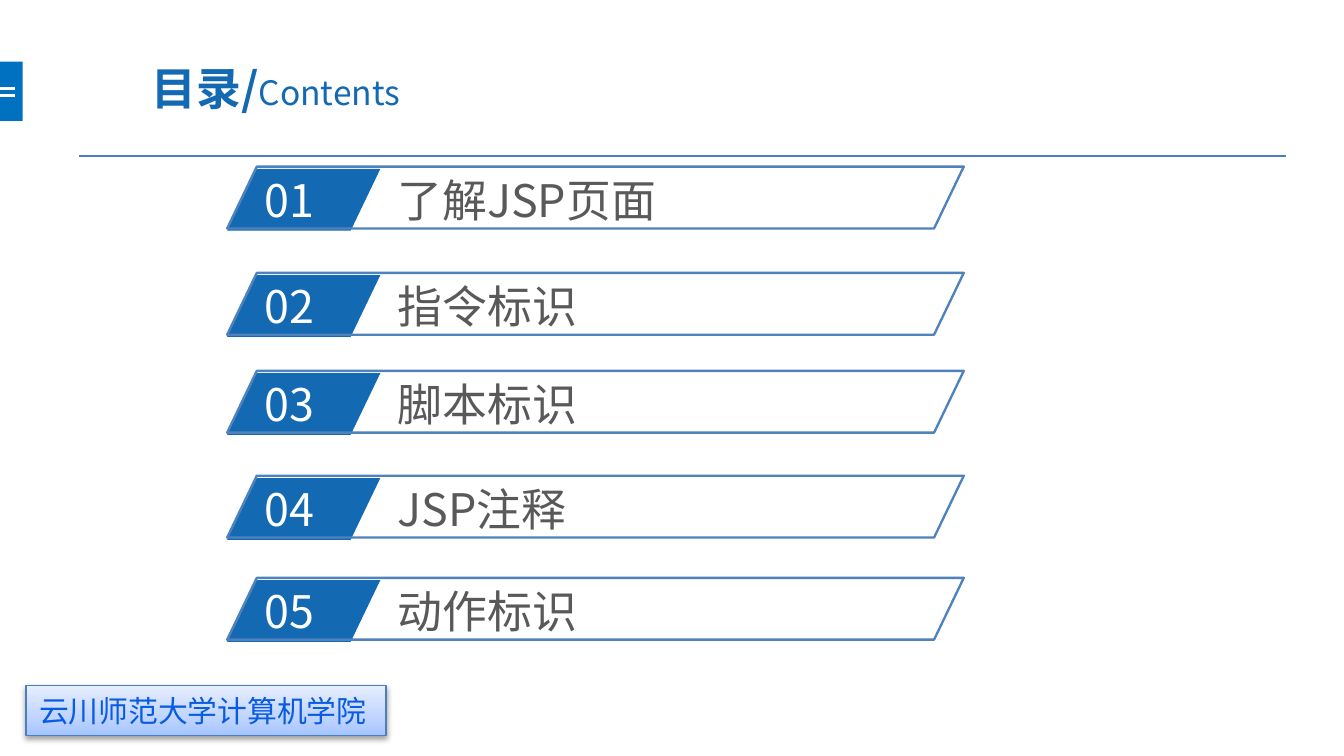
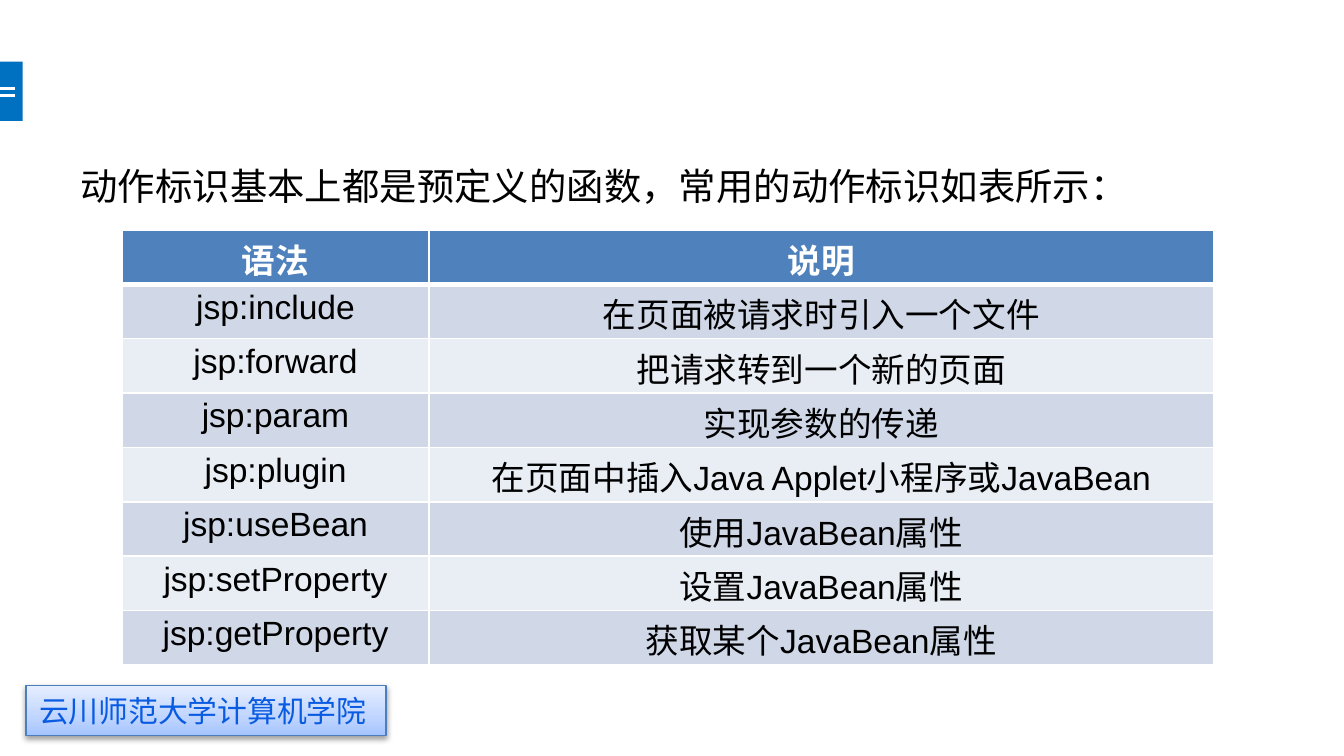
"""Build a contents slide and a table slide about JSP action tags."""
from lxml.etree import SubElement
from pptx import Presentation
from pptx.dml.color import RGBColor
from pptx.enum.shapes import MSO_CONNECTOR, MSO_SHAPE
from pptx.enum.text import MSO_ANCHOR, MSO_AUTO_SIZE, PP_ALIGN
from pptx.oxml.ns import qn
from pptx.util import Pt

WHITE = RGBColor(0xFF, 0xFF, 0xFF)
BLACK = RGBColor(0x00, 0x00, 0x00)
GREY = RGBColor(0x59, 0x59, 0x59)
TAB_BLUE = RGBColor(0x00, 0x70, 0xC0)
TITLE_BLUE = RGBColor(0x13, 0x69, 0xB2)
RULE_BLUE = RGBColor(0x4B, 0x7E, 0xBC)
BAR_BLUE = RGBColor(0x4F, 0x81, 0xBD)
FOOTER_BLUE = RGBColor(0x09, 0x5B, 0xE1)
BAND_DARK = RGBColor(0xD0, 0xD8, 0xE8)
BAND_LIGHT = RGBColor(0xE9, 0xED, 0xF4)
FOOTER_STOPS = [
    (0, RGBColor(0xA4, 0xC4, 0xFF)),
    (35, RGBColor(0xBF, 0xD4, 0xFF)),
    (100, RGBColor(0xE6, 0xEE, 0xFF)),
]
CHINESE_FONT = "Noto Sans CJK SC"
LATIN_FONT = "Arial"
FOOTER_TEXT = "云川师范大学计算机学院"

CONTENTS = [
    ("了解JSP页面", 89.3),
    ("指令标识", 146.2),
    ("脚本标识", 198.7),
    ("JSP注释", 254.9),
    ("动作标识", 309.6),
]
ACTION_ROWS = [
    ("语法", "说明"),
    ("jsp:include", "在页面被请求时引入一个文件"),
    ("jsp:forward", "把请求转到一个新的页面"),
    ("jsp:param", "实现参数的传递"),
    ("jsp:plugin", "在页面中插入Java Applet小程序或JavaBean"),
    ("jsp:useBean", "使用JavaBean属性"),
    ("jsp:setProperty", "设置JavaBean属性"),
    ("jsp:getProperty", "获取某个JavaBean属性"),
]


class Deck:
    """Hold the shared style and the current slide."""

    def __init__(self):
        self.presentation = Presentation()
        self.presentation.slide_width = Pt(720)
        self.presentation.slide_height = Pt(405)
        self.layout = self.presentation.slide_layouts[5]
        self.new_slide()
        self.decorate_layout()

    def new_slide(self):
        self.slide = self.presentation.slides.add_slide(self.layout)

    def decorate_layout(self):
        for placeholder in list(self.layout.placeholders)[1:]:
            self.layout.shapes.element.remove(placeholder.element)
        decorations = [self.shape(MSO_SHAPE.RECTANGLE, 0, 33.1, 12.2, 31.7, fill=TAB_BLUE)]
        for top in (47.5, 51.1):
            decorations.append(self.line(0, top, 7.9, WHITE, 1.5))
        decorations.append(self.footer())
        for decoration in decorations:
            self.layout.shapes.element.append(decoration.element)

    def format_run(self, run, size, color, bold=False, font=CHINESE_FONT):
        run.font.size = Pt(size)
        run.font.bold = bold
        run.font.color.rgb = color
        run.font.name = font
        SubElement(run.font._element, qn("a:ea"), typeface=CHINESE_FONT)

    def set_text(self, text_frame, text, size, color, inset=(7.2, 3.6)):
        text_frame.text = text
        text_frame.word_wrap = True
        text_frame.auto_size = MSO_AUTO_SIZE.NONE
        text_frame.vertical_anchor = MSO_ANCHOR.MIDDLE
        text_frame.margin_left = text_frame.margin_right = Pt(inset[0])
        text_frame.margin_top = text_frame.margin_bottom = Pt(inset[1])
        paragraph = text_frame.paragraphs[0]
        paragraph.alignment = PP_ALIGN.LEFT
        self.format_run(paragraph.runs[0], size, color)
        return paragraph

    def title(self, text, left, top, width, height, size, color, inset=(7.2, 3.6)):
        title = self.slide.shapes.title
        title.left, title.top = Pt(left), Pt(top)
        title.width, title.height = Pt(width), Pt(height)
        return self.set_text(title.text_frame, text, size, color, inset)

    def text(self, text, left, top, width, height, size, color, inset=(7.2, 3.6)):
        box = self.slide.shapes.add_textbox(Pt(left), Pt(top), Pt(width), Pt(height))
        self.set_text(box.text_frame, text, size, color, inset)

    def shape(self, kind, left, top, width, height, fill=None, line=None, weight=1):
        shape = self.slide.shapes.add_shape(kind, Pt(left), Pt(top), Pt(width), Pt(height))
        shape.shadow.inherit = False
        if fill is None:
            shape.fill.background()
        else:
            shape.fill.solid()
            shape.fill.fore_color.rgb = fill
        if line is None:
            shape.line.fill.background()
        else:
            shape.line.color.rgb = line
            shape.line.width = Pt(weight)
        return shape

    def line(self, left, top, right, color, weight):
        line = self.slide.shapes.add_connector(
            MSO_CONNECTOR.STRAIGHT, Pt(left), Pt(top), Pt(right), Pt(top))
        line.line.color.rgb = color
        line.line.width = Pt(weight)
        SubElement(line.element.spPr, qn("a:effectLst"))
        return line

    def footer(self):
        footer = self.shape(MSO_SHAPE.RECTANGLE, 13.9, 367.2, 193, 26.8,
                            line=RULE_BLUE, weight=0.75)
        footer.fill.gradient()
        properties = footer.element.spPr
        gradient = properties.find(qn("a:gradFill"))
        gradient.find(qn("a:lin")).set("ang", str(270 * 60000))
        stops = gradient.find(qn("a:gsLst"))
        for stop in list(stops):
            stops.remove(stop)
        for position, color in FOOTER_STOPS:
            stop = SubElement(stops, qn("a:gs"), pos=str(position * 1000))
            SubElement(stop, qn("a:srgbClr"), val=str(color))
        shadow = SubElement(properties.find(qn("a:effectLst")), qn("a:outerShdw"),
                            blurRad=str(Pt(3.1)), dist=str(Pt(1.6)),
                            dir=str(90 * 60000), rotWithShape="0")
        shade = SubElement(shadow, qn("a:srgbClr"), val=str(BLACK))
        SubElement(shade, qn("a:alpha"), val="38000")
        self.set_text(footer.text_frame, FOOTER_TEXT, 16, FOOTER_BLUE)
        return footer

    def parallelogram(self, top, width, **style):
        shape = self.shape(MSO_SHAPE.PARALLELOGRAM, 121.7, top, width, 33.1, **style)
        shape.adjustments[0] = 0.48

    def contents_item(self, number, label, top):
        self.parallelogram(top + 1.2, 82.1, fill=TITLE_BLUE)
        self.text(f"{number:02}", 134.6, top + 1.7, 78.5, 31.7, 24, WHITE)
        self.text(label, 208.1, top + 0.2, 289.4, 34.6, 24, GREY, (5, 2.9))
        self.parallelogram(top, 394.6, line=BAR_BLUE, weight=1.25)

    def cell_borders(self, cell, bottom):
        properties = cell._tc.get_or_add_tcPr()
        for side, weight in (("L", 1), ("R", 1), ("T", 1), ("B", bottom)):
            border = SubElement(properties, qn(f"a:ln{side}"), w=str(Pt(weight)))
            fill = SubElement(border, qn("a:solidFill"))
            SubElement(fill, qn("a:srgbClr"), val=str(WHITE))

    def table(self, rows, left, top, widths, row_height):
        frame = self.slide.shapes.add_table(
            len(rows), len(widths), Pt(left), Pt(top),
            Pt(sum(widths)), Pt(row_height * len(rows)))
        table = frame.table
        for column, width in zip(table.columns, widths):
            column.width = Pt(width)
        for row_index, row in enumerate(rows):
            table.rows[row_index].height = Pt(row_height)
            header = row_index == 0
            band = BAND_DARK if row_index % 2 else BAND_LIGHT
            for column_index, text in enumerate(row):
                cell = table.cell(row_index, column_index)
                cell.margin_top, cell.margin_bottom = Pt(2.4), Pt(0)
                self.cell_borders(cell, 3 if header else 1)
                cell.fill.solid()
                cell.fill.fore_color.rgb = BAR_BLUE if header else band
                cell.text_frame.text = text
                paragraph = cell.text_frame.paragraphs[0]
                paragraph.alignment = PP_ALIGN.CENTER
                self.format_run(paragraph.runs[0], 18, WHITE if header else BLACK,
                                bold=header, font=LATIN_FONT)

    def contents_slide(self):
        paragraph = self.title("目录/", 66.2, 20.9, 163.4, 51.8, 24, TITLE_BLUE, (9.4, 5))
        paragraph.alignment = PP_ALIGN.CENTER
        paragraph.space_before = Pt(5)
        paragraph.runs[0].font.bold = True
        subtitle = paragraph.add_run()
        subtitle.text = "Contents"
        self.format_run(subtitle, 18, TITLE_BLUE)
        self.line(42.5, 83.5, 689, RULE_BLUE, 1)
        for number, (label, top) in enumerate(CONTENTS, 1):
            self.contents_item(number, label, top)

    def actions_slide(self):
        self.new_slide()
        self.title("动作标识基本上都是预定义的函数，常用的动作标识如表所示：",
                   36, 83.5, 607.7, 31.7, 20, BLACK)
        self.table(ACTION_ROWS, 65.5, 123.1, (164.2, 420.5), 29.16)


deck = Deck()
deck.contents_slide()
deck.actions_slide()
deck.presentation.save("out.pptx")
